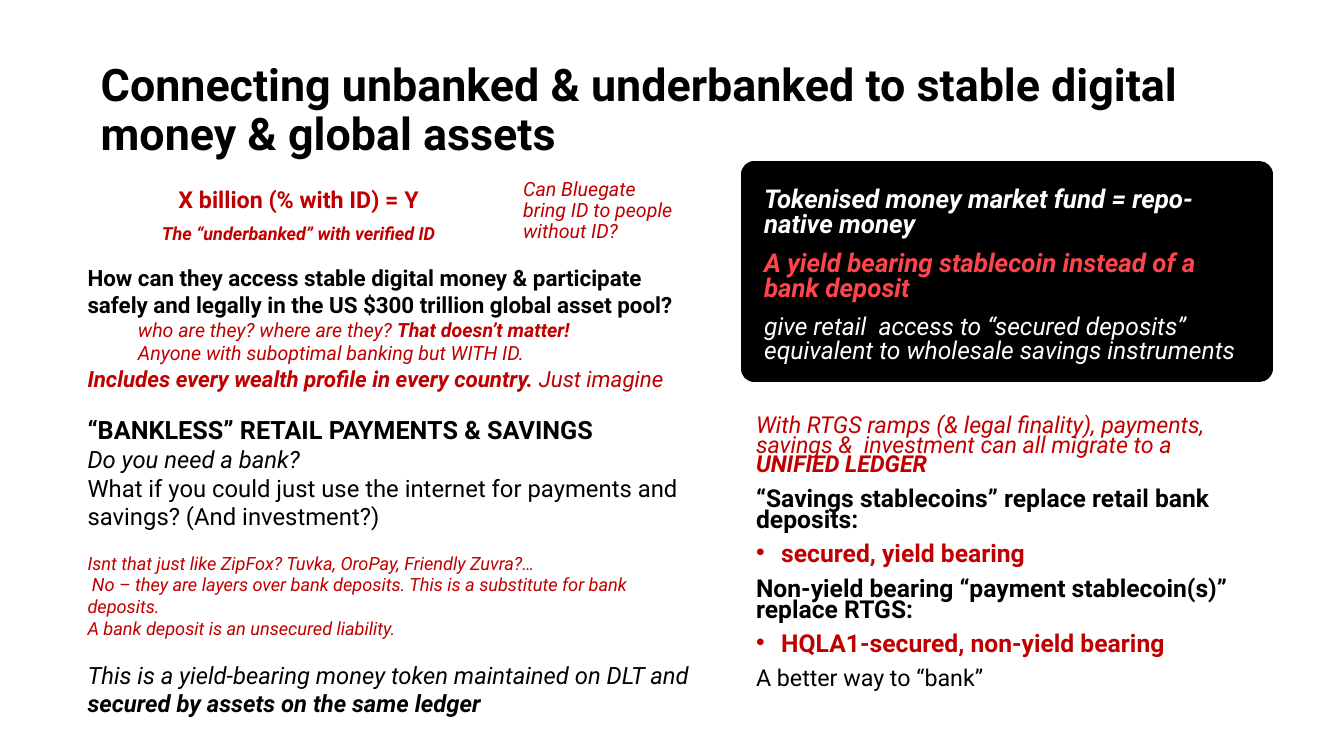
import pptx
import pptx.util
import pptx.dml.color
import pptx.enum.shapes
import pptx.enum.text
import pptx.oxml.ns
from lxml import etree
from pptx.util import Inches

FONT = "Roboto"
COLORS = {"black": "000000", "white": "FFFFFF", "red": "C00000", "coral": "FF454B"}
ALIGN = pptx.enum.text.PP_ALIGN
ANCHOR = pptx.enum.text.MSO_ANCHOR


def rgb(name):
    return pptx.dml.color.RGBColor.from_string(COLORS[name])


def para(text, size, color="black", style="", **layout):
    """Describe a paragraph; style holds b and/or i, ** in the text toggles bold."""
    return dict(text=text, size=size, color=color, style=style, **layout)


def indent(paragraph, left, bullet):
    props = paragraph._p.get_or_add_pPr()
    props.set("marL", str(Inches(left)))
    props.set("indent", str(-Inches(left) if bullet else 0))
    if bullet:
        for tag, attribute, value in (("a:buFont", "typeface", "Arial"), ("a:buChar", "char", "•")):
            etree.SubElement(props, pptx.oxml.ns.qn(tag)).set(attribute, value)


def add_runs(paragraph, text, bold):
    pieces = text.split("**")
    if len(pieces) == 1:
        paragraph.font.bold = bold
    for index, piece in enumerate(pieces):
        if piece:
            run = paragraph.add_run()
            run.text = piece
            if len(pieces) > 1:
                run.font.bold = index % 2 == 1


def write(shape, paragraphs, anchor=ANCHOR.TOP, align=ALIGN.LEFT, spacing=1.0, before=0):
    frame = shape.text_frame
    frame.word_wrap = True
    frame.vertical_anchor = anchor
    for index, item in enumerate(paragraphs):
        line = frame.paragraphs[0] if index == 0 else frame.add_paragraph()
        line.alignment = align
        line.line_spacing = spacing
        line.space_before = pptx.util.Pt(item.get("before", before))
        if "left" in item:
            indent(line, item["left"], item.get("bullet", False))
        line.font.name = FONT
        line.font.size = pptx.util.Pt(item["size"])
        line.font.color.rgb = rgb(item["color"])
        line.font.italic = "i" in item["style"]
        add_runs(line, item["text"], "b" in item["style"])


def add_text(slide, box, paragraphs, **layout):
    write(slide.shapes.add_textbox(*map(Inches, box)), paragraphs, **layout)


def add_panel(slide, box, color, border, paragraphs, **layout):
    panel = slide.shapes.add_shape(
        pptx.enum.shapes.MSO_SHAPE.RECTANGLE, *map(Inches, box))
    panel.shadow.inherit = False
    panel.fill.solid()
    panel.fill.fore_color.rgb = rgb(color)
    panel.line.color.rgb = rgb(color)
    panel.line.width = pptx.util.Pt(border)
    etree.SubElement(panel.line._get_or_add_ln(), pptx.oxml.ns.qn("a:round"))
    write(panel, paragraphs, **layout)


def main():
    deck = pptx.Presentation()
    deck.slide_width, deck.slide_height = Inches(13.33), Inches(7.5)
    slide = deck.slides.add_slide(deck.slide_layouts[6])

    add_text(slide, (0.9, 0.38, 11.79, 1.45), [
        para("Connecting unbanked & underbanked to stable digital money & global assets",
             32, style="b"),
    ], anchor=ANCHOR.MIDDLE, spacing=0.9)

    add_text(slide, (1, 1.74, 3.92, 0.73), [
        para("X billion (% with ID) = Y", 16.6, "red", "b"),
        para("The “underbanked” with verified ID", 12.9, "red", "bi"),
    ], anchor=ANCHOR.BOTTOM, align=ALIGN.CENTER, spacing=0.8, before=10)

    add_panel(slide, (7.48, 1.73, 5.01, 1.93), "black", 19.25, [
        para("Tokenised money market fund = repo-native money", 18.5, "white", "bi"),
        para("A yield bearing stablecoin instead of a bank deposit", 18.5, "coral", "bi"),
        para("give retail  access to “secured deposits” equivalent to wholesale "
             "savings instruments", 17.6, "white", "i"),
    ], anchor=ANCHOR.BOTTOM, spacing=0.8, before=10)

    add_panel(slide, (7.4, 4.1, 5.09, 2.91), "white", 1.5, [
        para("With RTGS ramps (& legal finality), payments, savings &  investment "
             "can all migrate to a **UNIFIED LEDGER", 16.6, "red", "i"),
        para("“Savings stablecoins” replace retail bank deposits:", 17.6, style="b"),
        para("secured, yield bearing", 17.6, "red", "b", left=0.25, bullet=True),
        para("Non-yield bearing “payment stablecoin(s)” replace RTGS:", 17.6, style="b"),
        para("HQLA1-secured, non-yield bearing", 17.6, "red", "b", left=0.25, bullet=True),
        para("A better way to “bank”", 16.6),
    ], spacing=0.7, before=10)

    add_text(slide, (0.77, 2.57, 6.3, 4.44), [
        para("How can they access stable digital money & participate safely and "
             "legally in the US $300 trillion global asset pool?", 16, style="b"),
        para("who are they? where are they? **That doesn’t matter!", 14, "red", "i", left=0.5),
        para("Anyone with suboptimal banking but WITH ID.", 14, "red", "i", left=0.5),
        para("**Includes every wealth profile in every country. **Just imagine", 16, "red", "i"),
        para("“BANKLESS” RETAIL PAYMENTS & SAVINGS", 18, style="b", before=16.4),
        para("Do you need a bank?", 17, style="i"),
        para("What if you could just use the internet for payments and savings? "
             "(And investment?)", 17),
        para("Isnt that just like ZipFox? Tuvka, OroPay, Friendly Zuvra?…", 13, "red", "i",
             before=15.2),
        para(" No – they are layers over bank deposits. This is a substitute for bank "
             "deposits.", 13, "red", "i"),
        para("A bank deposit is an unsecured liability.", 13, "red", "i"),
        para("This is a yield-bearing money token maintained on DLT and "
             "**secured by assets on the same ledger", 17, style="i", before=15.2),
    ])

    add_text(slide, (5.09, 1.73, 1.71, 0.73), [
        para("Can Bluegate bring ID to people without ID?", 14, "red", "i"),
    ], anchor=ANCHOR.BOTTOM, spacing=0.9, before=10)

    deck.save("out.pptx")


if __name__ == "__main__":
    main()
